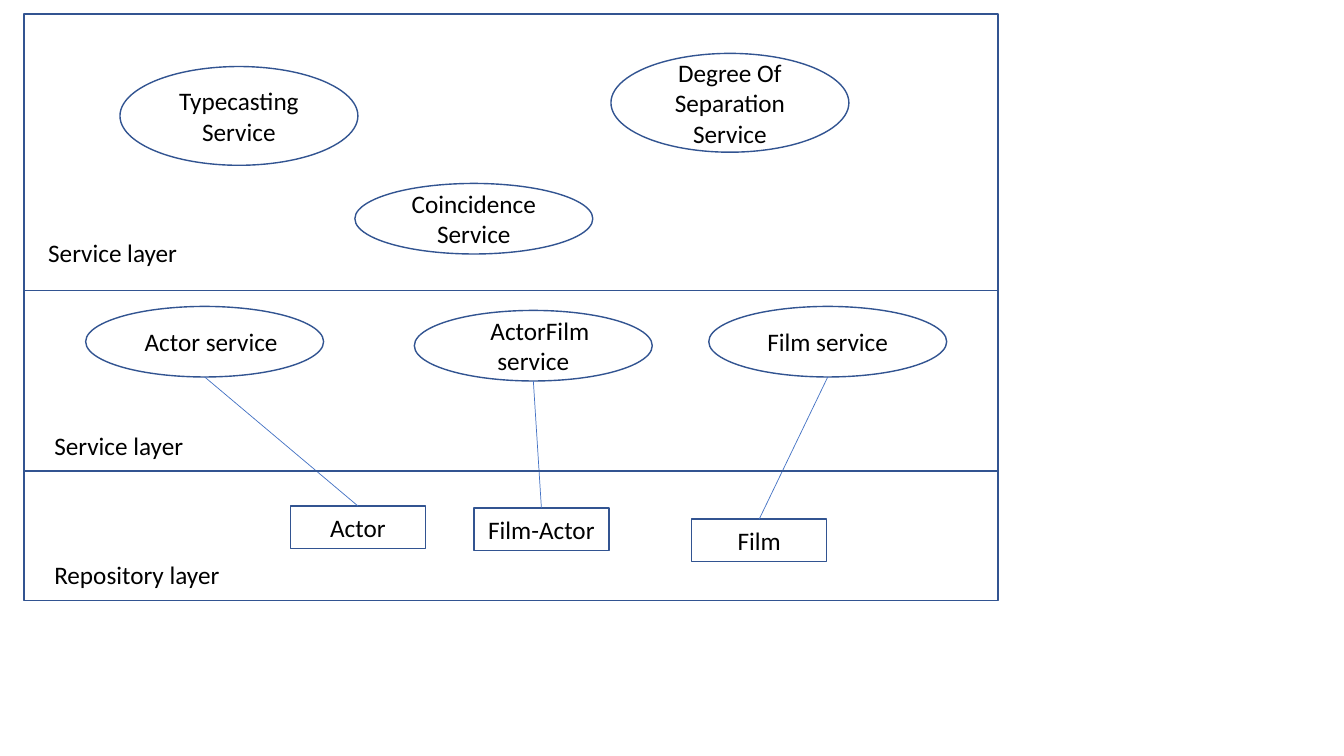
from lxml import etree
from pptx import Presentation
from pptx.dml.color import RGBColor
from pptx.enum import shapes, text
from pptx.oxml import ns
from pptx.util import Inches, Pt

OVAL = shapes.MSO_SHAPE.OVAL
RECT = shapes.MSO_SHAPE.RECTANGLE
EDGE = "325491"
WIDE, HIGH = 2.36, 0.7
TALL = 0.98
LEFT, SPAN = 0.24, 9.66


def paint(color, value):
    """Set a colour from a hex string."""
    color.rgb = RGBColor.from_string(value)


def write(para, words):
    """Add one black run to a paragraph."""
    run = para.add_run()
    run.text = words
    run.font.name = "Calibri"
    run.font.size = Pt(18)
    paint(run.font.color, "000000")


def outline(slide, kind, box, fill=None):
    """Add an outlined shape, empty unless a fill is given."""
    shape = slide.shapes.add_shape(kind, *map(Inches, box))
    shape.shadow.inherit = False
    if fill:
        shape.fill.solid()
        paint(shape.fill.fore_color, fill)
    else:
        shape.fill.background()
    paint(shape.line.color, EDGE)
    shape.line.width = Pt(1)
    return shape


def node(slide, kind, box, lines, fill=None, indent=0):
    """Add a shape with centred lines of text."""
    shape = outline(slide, kind, box, fill)
    frame = shape.text_frame
    frame.word_wrap = True
    frame.vertical_anchor = text.MSO_ANCHOR.MIDDLE
    frame.margin_left = frame.margin_right = Inches(0.05)
    for i, words in enumerate(lines):
        para = frame.add_paragraph() if i else frame.paragraphs[0]
        para.alignment = text.PP_ALIGN.CENTER
        if indent:
            para._p.get_or_add_pPr().set("indent", str(Inches(indent)))
        write(para, words)
    return shape


def label(slide, left, top, width, words):
    """Add a layer name."""
    box = slide.shapes.add_textbox(*map(Inches, (left, top, width, 0.4)))
    box.text_frame.word_wrap = False
    box.text_frame.auto_size = text.MSO_AUTO_SIZE.SHAPE_TO_FIT_TEXT
    write(box.text_frame.paragraphs[0], words)


def link(slide, oval, store):
    """Join the foot of a service to the top of its store."""
    line = slide.shapes.add_connector(
        shapes.MSO_CONNECTOR.STRAIGHT,
        oval.left + oval.width // 2, oval.top + oval.height,
        store.left + store.width // 2, store.top)
    paint(line.line.color, "4472C4")
    line.line.width = Pt(0.5)
    etree.SubElement(line._element.spPr, ns.qn("a:effectLst"))


def main():
    """Build the layer diagram."""
    deck = Presentation()
    deck.slide_width, deck.slide_height = Inches(13.33), Inches(7.5)
    slide = deck.slides.add_slide(deck.slide_layouts[6])

    pairs = [
        ("Actor service", 0.85, 3.04, 0.13, "Actor", 2.88, 5.02),
        ("ActorFilm service", 4.11, 3.08, 0.13, "Film-Actor", 4.7, 5.04),
        ("Film service", 7.03, 3.04, 0, "Film", 6.86, 5.15),
    ]
    for name, left, top, indent, table, x, y in pairs:
        oval = node(slide, OVAL, (left, top, WIDE, HIGH), [name],
                    indent=indent)
        store = node(slide, RECT, (x, y, 1.34, 0.42), [table], "FFFFFF")
        link(slide, oval, store)

    for lines, left, top, high in [
        (["Coincidence Service"], 3.52, 1.82, HIGH),
        (["Typecasting", "Service"], 1.19, 0.66, TALL),
        (["Degree Of Separation Service"], 6.06, 0.53, TALL),
    ]:
        node(slide, OVAL, (left, top, WIDE, high), lines)

    for name, top, high, x, y, width in [
        ("Service layer", 0.14, 2.74, 0.38, 2.31, 1.5),
        ("Service layer", 2.88, 1.8, 0.44, 4.22, 1.5),
        ("Repository layer", 4.67, 1.29, 0.44, 5.5, 1.86),
    ]:
        outline(slide, RECT, (LEFT, top, SPAN, high))
        label(slide, x, y, width, name)

    deck.save("out.pptx")


main()
